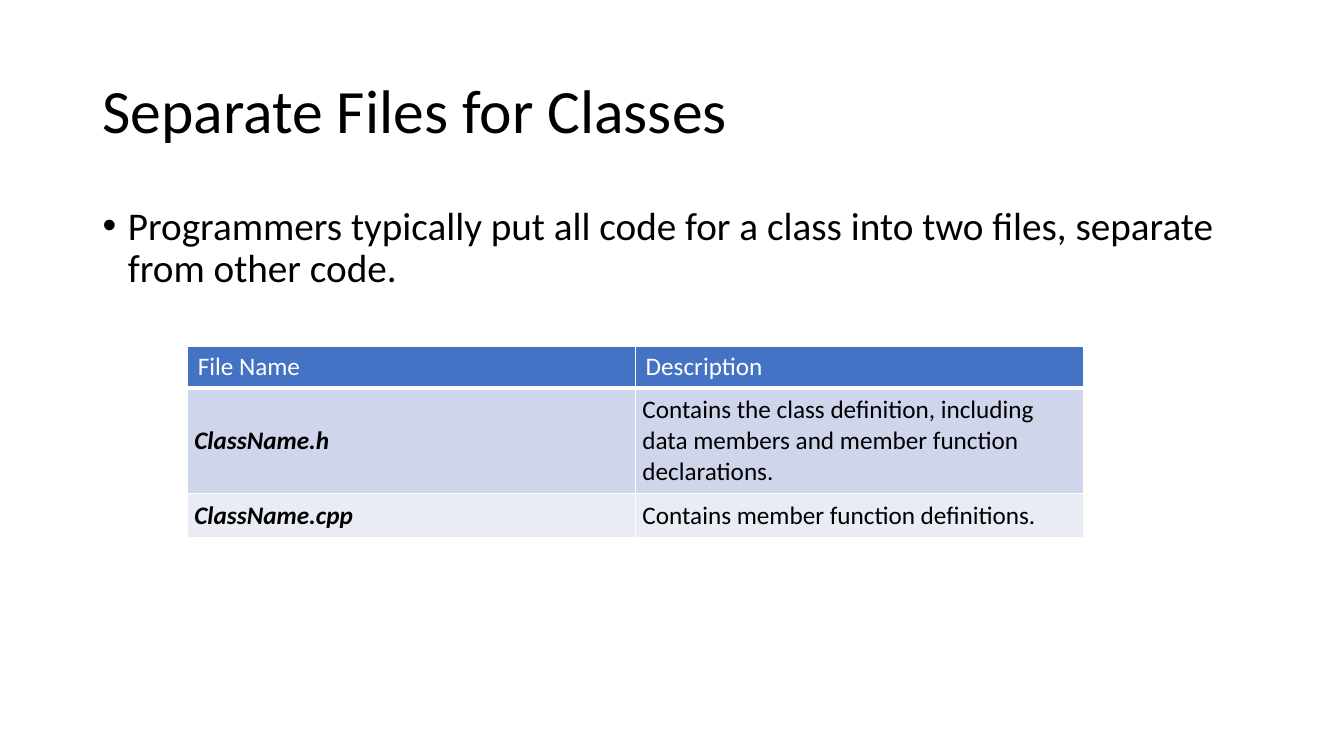
from collections import namedtuple

from lxml.etree import SubElement
from pptx import Presentation
from pptx.dml.color import RGBColor
from pptx.enum.text import MSO_ANCHOR, MSO_AUTO_SIZE, PP_ALIGN
from pptx.oxml.ns import qn
from pptx.util import Cm, Pt

BLACK = RGBColor(0x00, 0x00, 0x00)
WHITE = RGBColor(0xFF, 0xFF, 0xFF)
HEADER_BLUE = RGBColor(0x44, 0x72, 0xC4)
BAND_FILLS = [RGBColor(0xE9, 0xEB, 0xF5), RGBColor(0xCF, 0xD5, 0xEA)]
FONT = "Calibri"

Box = namedtuple("Box", "left top width height")
TITLE_BOX = Box(2.33, 1.01, 29.21, 3.68)
BODY_BOX = Box(2.33, 5.08, 29.21, 12.09)
TABLE_BOX = Box(4.73, 8.74, 22.58, 4.8)
ROW_HEIGHTS = [1.03, 2.65, 1.12]
CELL_INSET = 0.17

FILES = [
    ("File Name", "Description"),
    ("ClassName.h", "Contains the class definition, including data members "
                    "and member function declarations."),
    ("ClassName.cpp", "Contains member function definitions."),
]


def add_span(para, text, size, color, emphasis=False):
    """Add one formatted run to a paragraph."""
    span = para.add_run()
    span.text = text
    span.font.name = FONT
    span.font.size = Pt(size)
    span.font.color.rgb = color
    span.font.bold = span.font.italic = emphasis


def fill_placeholder(holder, box, anchor, text, size):
    """Move a placeholder to its box, write its text and return the paragraph."""
    holder.left, holder.top, holder.width, holder.height = map(Cm, box)
    frame = holder.text_frame
    frame.auto_size = MSO_AUTO_SIZE.NONE
    frame.word_wrap = True
    frame.vertical_anchor = anchor
    para = frame.paragraphs[0]
    para.alignment = PP_ALIGN.LEFT
    para.line_spacing = 0.9
    add_span(para, text, size, BLACK)
    return para


def add_title(page, box):
    """Write the slide title."""
    fill_placeholder(page.shapes.title, box, MSO_ANCHOR.MIDDLE,
                     "Separate Files for Classes", 44)


def add_body(page, box):
    """Write the bulleted statement."""
    para = fill_placeholder(
        page.placeholders[1], box, MSO_ANCHOR.TOP,
        "Programmers typically put all code for a class into two files, "
        "separate from other code.", 28)
    para.space_before = Pt(10)
    properties = para._p.get_or_add_pPr()
    properties.set("marL", str(Cm(0.64)))
    properties.set("indent", str(-Cm(0.64)))
    SubElement(properties, qn("a:buChar")).set("char", "•")


def add_borders(cell, bottom):
    """Draw white lines round a cell, with the given bottom width in points."""
    properties = cell._tc.get_or_add_tcPr()
    for side, width in (("L", 1), ("R", 1), ("T", 1), ("B", bottom)):
        line = SubElement(properties, qn(f"a:ln{side}"), w=str(Pt(width)))
        paint = SubElement(line, qn("a:solidFill"))
        SubElement(paint, qn("a:srgbClr"), val=str(WHITE))


def add_file_table(page, box):
    """Add the table that describes the two files of a class."""
    table = page.shapes.add_table(len(FILES), 2, *map(Cm, box)).table
    for column in table.columns:
        column.width = Cm(box.width / 2)
    for row_index, texts in enumerate(FILES):
        header = row_index == 0
        table.rows[row_index].height = Cm(ROW_HEIGHTS[row_index])
        for column_index, text in enumerate(texts):
            cell = table.cell(row_index, column_index)
            add_borders(cell, 3 if header else 1)
            cell.fill.solid()
            cell.fill.fore_color.rgb = HEADER_BLUE if header else BAND_FILLS[row_index % 2]
            if not header:
                cell.vertical_anchor = MSO_ANCHOR.MIDDLE
                cell.margin_left = cell.margin_right = Cm(CELL_INSET)
                cell.margin_top = cell.margin_bottom = Cm(CELL_INSET)
            add_span(cell.text_frame.paragraphs[0], text, 18,
                     WHITE if header else BLACK,
                     emphasis=not header and column_index == 0)


def main():
    """Build the deck and save it."""
    deck = Presentation()
    deck.slide_width, deck.slide_height = Cm(33.87), Cm(19.05)
    page = deck.slides.add_slide(deck.slide_layouts[1])
    add_title(page, TITLE_BOX)
    add_body(page, BODY_BOX)
    add_file_table(page, TABLE_BOX)
    deck.save("out.pptx")


main()
